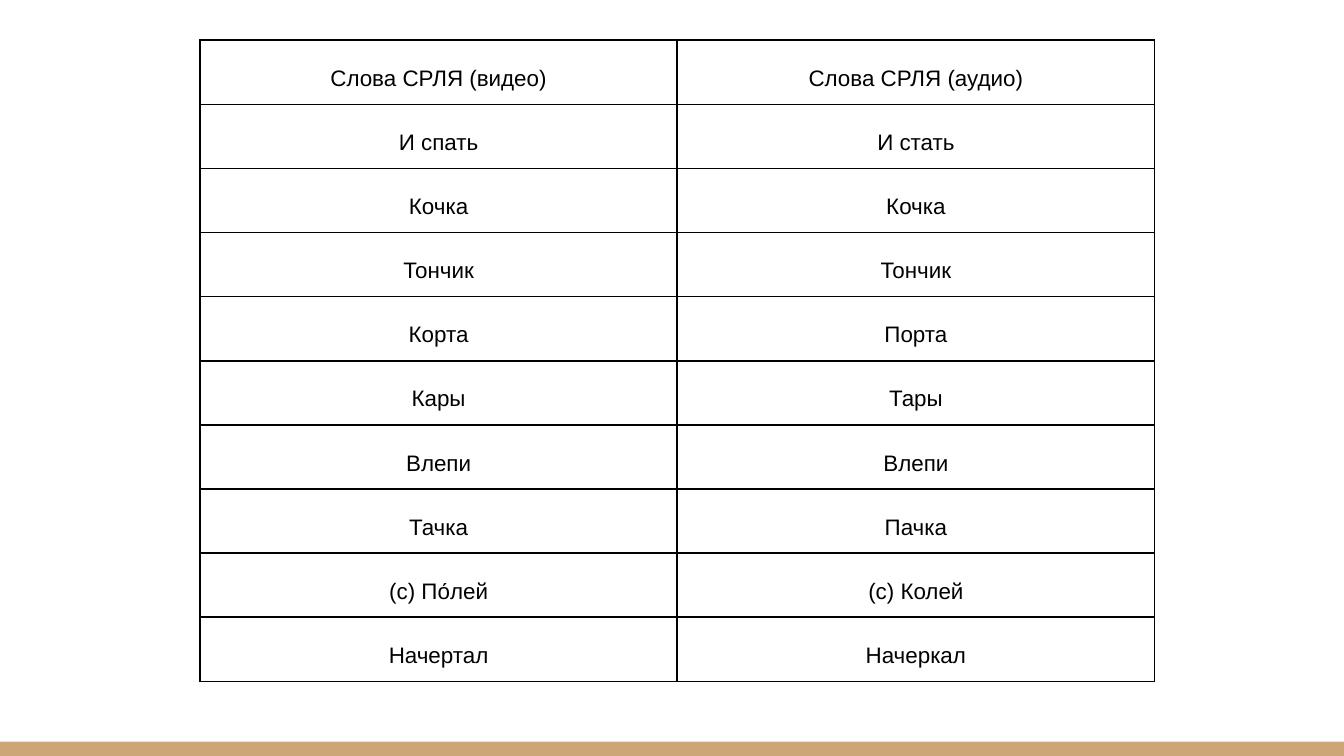
from lxml import etree
from pptx import Presentation
from pptx.dml.color import RGBColor
from pptx.enum.shapes import MSO_SHAPE
from pptx.enum.text import PP_ALIGN
from pptx.oxml.ns import qn
from pptx.util import Cm, Pt

RECTANGLE = MSO_SHAPE.RECTANGLE
CENTER = PP_ALIGN.CENTER
BLANK_LAYOUT = 6

BLACK = "000000"
TAN = "CCA677"

WORD_PAIRS = [
    ("Слова СРЛЯ (видео)", "Слова СРЛЯ (аудио)"),
    ("И спать", "И стать"),
    ("Кочка", "Кочка"),
    ("Тончик", "Тончик"),
    ("Корта", "Порта"),
    ("Кары", "Тары"),
    ("Влепи", "Влепи"),
    ("Тачка", "Пачка"),
    ("(с) По́лей", "(с) Колей"),
    ("Начертал", "Начеркал"),
]

CELL_FORMAT = {
    "margin_left": Cm(0.18),
    "margin_right": Cm(0.18),
    "margin_top": Cm(0.25),
    "margin_bottom": Cm(0.25),
}
PARA_FORMAT = {"alignment": CENTER, "line_spacing": 1.5}
FONT_FORMAT = {"name": "Arial", "size": Pt(12), "bold": False}


def color(hex_string):
    """Return the RGB colour for a hex string."""
    return RGBColor.from_string(hex_string)


def apply_format(target, values):
    """Set every attribute in a dict of format values."""
    for name, value in values.items():
        setattr(target, name, value)


def add_borders(cell, hex_string, width):
    """Draw a solid border on all four sides of a cell."""
    properties = cell._tc.get_or_add_tcPr()
    for side in ("a:lnL", "a:lnR", "a:lnT", "a:lnB"):
        line = etree.SubElement(properties, qn(side), w=str(width))
        fill = etree.SubElement(line, qn("a:solidFill"))
        etree.SubElement(fill, qn("a:srgbClr"), val=hex_string)


def fill_cell(cell, words):
    """Write centred words into a bordered cell without fill."""
    add_borders(cell, BLACK, Pt(1))
    cell.fill.background()
    apply_format(cell, CELL_FORMAT)
    para = cell.text_frame.paragraphs[0]
    apply_format(para, PARA_FORMAT)
    span = para.add_run()
    span.text = words
    apply_format(span.font, FONT_FORMAT)
    span.font.color.rgb = color(BLACK)


def add_word_table(page, box):
    """Place the table of word pairs in the given box."""
    frame = page.shapes.add_table(len(WORD_PAIRS), len(WORD_PAIRS[0]), *box)
    table = frame.table
    apply_format(table, {"first_row": False, "horz_banding": False})
    for row, pair in zip(table.rows, WORD_PAIRS):
        for cell, words in zip(row.cells, pair):
            fill_cell(cell, words)


def add_footer_bar(page, box):
    """Place the coloured bar in the given box."""
    bar = page.shapes.add_shape(RECTANGLE, *box)
    bar.shadow.inherit = False
    bar.fill.solid()
    bar.fill.fore_color.rgb = color(TAN)
    bar.line.fill.background()


def main():
    """Build the slide and save the deck."""
    deck = Presentation()
    apply_format(deck, {"slide_width": Cm(25.4), "slide_height": Cm(14.29)})
    page = deck.slides.add_slide(deck.slide_layouts[BLANK_LAYOUT])
    add_footer_bar(page, (0, Cm(14.02), deck.slide_width, Cm(0.27)))
    add_word_table(page, (Cm(3.78), Cm(0.76), Cm(18.04), Cm(8.4)))
    deck.save("out.pptx")


if __name__ == "__main__":
    main()
